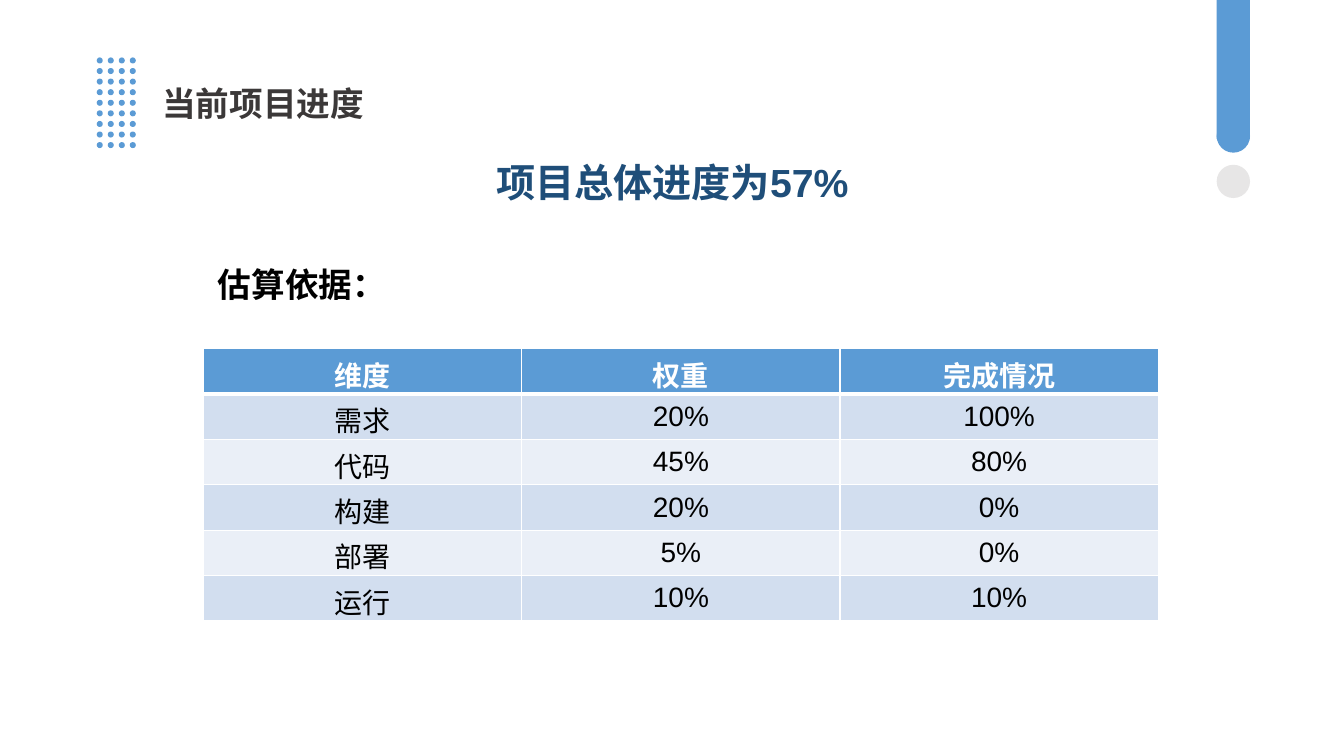
from dataclasses import dataclass
from itertools import product

from lxml.etree import SubElement
from pptx import Presentation
from pptx.dml.color import RGBColor
from pptx.enum.shapes import MSO_SHAPE
from pptx.enum.text import MSO_ANCHOR, MSO_AUTO_SIZE, PP_ALIGN
from pptx.oxml.ns import qn
from pptx.util import Inches, Pt

SLIDE_WIDTH, SLIDE_HEIGHT = Inches(13.333), Inches(7.5)
FONT = "Arial"
BLUE, NAVY, GREY = "5B9BD5", "1F4E79", "E7E6E6"
WHITE, BLACK, CHARCOAL = "FFFFFF", "000000", "3B3838"
BANDS = ("D2DEEF", "EAEFF7")

PROGRESS = (
    ("维度", "权重", "完成情况"),
    ("需求", "20%", "100%"),
    ("代码", "45%", "80%"),
    ("构建", "20%", "0%"),
    ("部署", "5%", "0%"),
    ("运行", "10%", "10%"),
)


@dataclass(frozen=True)
class Area:
    """A place in percent of the slide's width and height."""
    left: float
    top: float
    width: float
    height: float

    def lengths(self) -> tuple[int, int, int, int]:
        return (int(SLIDE_WIDTH * self.left / 100), int(SLIDE_HEIGHT * self.top / 100),
                int(SLIDE_WIDTH * self.width / 100), int(SLIDE_HEIGHT * self.height / 100))


@dataclass(frozen=True)
class Label:
    text: str
    area: Area
    size: int
    color: str
    align: PP_ALIGN = PP_ALIGN.CENTER
    wrap: bool = False


@dataclass(frozen=True)
class Ornament:
    kind: MSO_SHAPE
    area: Area
    color: str


LABELS = (
    Label("当前项目进度", Area(11.33, 10.27, 18.15, 6.67), 24, CHARCOAL, PP_ALIGN.JUSTIFY, True),
    Label("项目总体进度为57%", Area(36.15, 20.27, 27.75, 7.63), 28, NAVY),
    Label("估算依据：", Area(15.45, 34.27, 14.03, 6.67), 24, BLACK),
)
TABLE_AREA = Area(15.15, 46.13, 71.03, 36)
DOTS = [
    Ornament(MSO_SHAPE.OVAL, Area(7.2 + 0.82 * column, 7.6 + 1.4 * row, 0.45, 0.8), BLUE)
    for column, row in product(range(4), range(9))
]
RIBBON = [
    Ornament(MSO_SHAPE.RECTANGLE, Area(90.53, 0, 2.48, 18.4), BLUE),
    Ornament(MSO_SHAPE.OVAL, Area(90.53, 15.8, 2.48, 4.4), BLUE),
    Ornament(MSO_SHAPE.OVAL, Area(90.53, 21.8, 2.48, 4.4), GREY),
]


def rgb(color: str) -> RGBColor:
    return RGBColor.from_string(color)


def write_text(frame, text: str, *, size: int, color: str, bold: bool = False,
               align: PP_ALIGN = PP_ALIGN.CENTER) -> None:
    paragraph = frame.paragraphs[0]
    paragraph.alignment = align
    run = paragraph.add_run()
    run.text = text
    run.font.name = FONT
    run.font.size = Pt(size)
    run.font.bold = bold
    run.font.color.rgb = rgb(color)


def add_label(slide, label: Label) -> None:
    frame = slide.shapes.add_textbox(*label.area.lengths()).text_frame
    frame.word_wrap = label.wrap
    frame.auto_size = MSO_AUTO_SIZE.SHAPE_TO_FIT_TEXT
    write_text(frame, label.text, size=label.size, color=label.color, bold=True,
               align=label.align)


def add_ornaments(slide, ornaments: list[Ornament]) -> None:
    group = slide.shapes.add_group_shape()
    for ornament in ornaments:
        shape = group.shapes.add_shape(ornament.kind, *ornament.area.lengths())
        shape.shadow.inherit = False
        shape.fill.solid()
        shape.fill.fore_color.rgb = rgb(ornament.color)
        shape.line.fill.background()


def set_borders(cell, **widths: float) -> None:
    properties = cell._tc.get_or_add_tcPr()
    for position, (side, width) in enumerate(widths.items()):
        line = properties.makeelement(qn(f"a:ln{side}"), {"w": str(Pt(width))})
        fill = SubElement(line, qn("a:solidFill"))
        SubElement(fill, qn("a:srgbClr"), val=WHITE)
        properties.insert(position, line)


def add_progress_table(slide) -> None:
    table = slide.shapes.add_table(len(PROGRESS), len(PROGRESS[0]),
                                   *TABLE_AREA.lengths()).table
    for row, values in enumerate(PROGRESS):
        header = row == 0
        for column, text in enumerate(values):
            cell = table.cell(row, column)
            cell.vertical_anchor = MSO_ANCHOR.MIDDLE
            cell.fill.solid()
            cell.fill.fore_color.rgb = rgb(BLUE if header else BANDS[(row - 1) % 2])
            write_text(cell.text_frame, text, size=20, bold=header,
                       color=WHITE if header else BLACK)
            # A thick rule parts the header from the body
            set_borders(cell, L=1, R=1, T=3 if row == 1 else 1, B=3 if header else 1)


def main() -> None:
    presentation = Presentation()
    presentation.slide_width, presentation.slide_height = SLIDE_WIDTH, SLIDE_HEIGHT
    slide = presentation.slides.add_slide(presentation.slide_layouts[6])

    # Headings and table
    for label in LABELS:
        add_label(slide, label)
    add_progress_table(slide)

    # Dot grid beside the title, ribbon at the top right
    for ornaments in (DOTS, RIBBON):
        add_ornaments(slide, ornaments)

    presentation.save("out.pptx")


if __name__ == "__main__":
    main()
